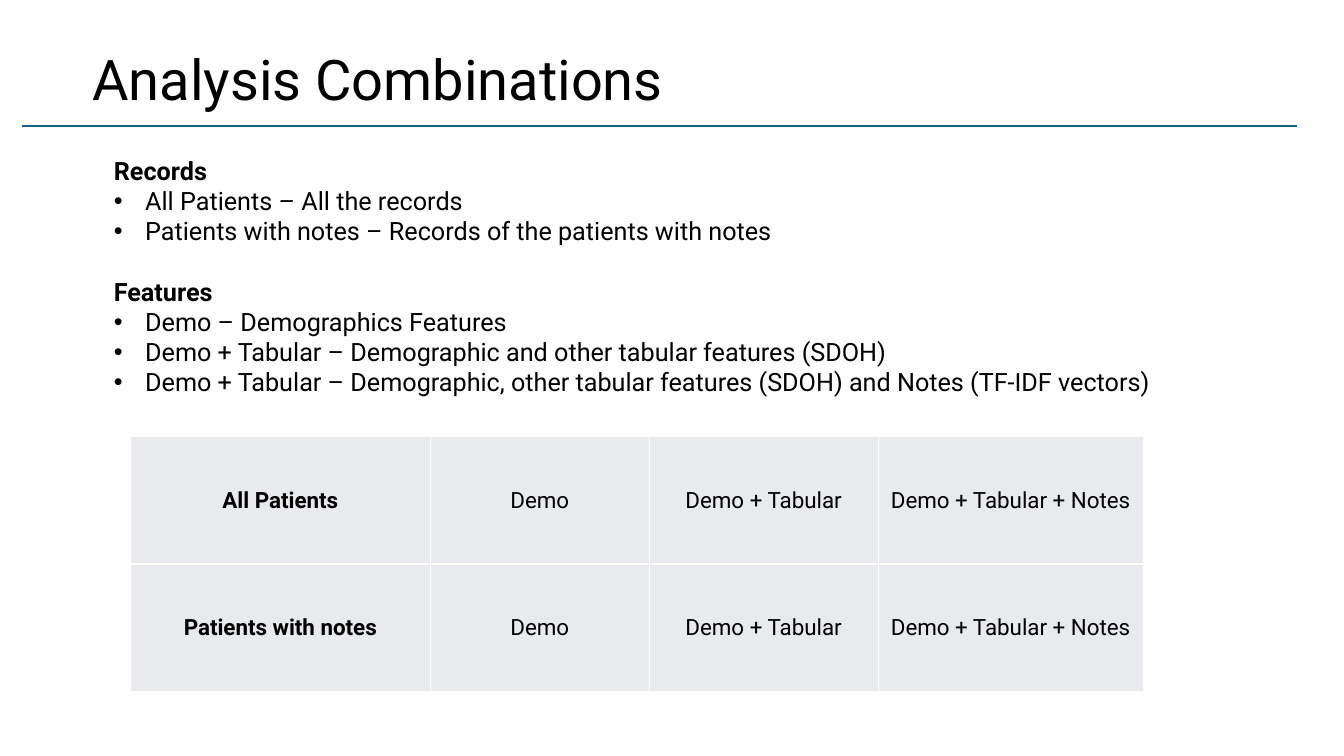
from lxml import etree
from pptx import Presentation
from pptx import util as u
from pptx.dml.color import RGBColor
from pptx.enum import shapes, text
from pptx.oxml.ns import qn

# Content
TITLE = "Analysis Combinations"
SECTIONS = [
    ("Records", [
        "All Patients – All the records",
        "Patients with notes – Records of the patients with notes",
    ]),
    ("Features", [
        "Demo – Demographics Features",
        "Demo + Tabular – Demographic and other tabular features (SDOH)",
        "Demo + Tabular – Demographic, other tabular features (SDOH) and Notes (TF-IDF vectors)",
    ]),
]
FEATURE_SETS = ["Demo", "Demo + Tabular", "Demo + Tabular + Notes"]
ROWS = [[group] + FEATURE_SETS for group in ("All Patients", "Patients with notes")]

# Layout in centimetres
COLUMN_WIDTHS = [7.57, 5.51, 5.77, 6.68]
ROW_HEIGHT = 3.21
BULLET_INDENT = 0.79
FONT = "Roboto"
BLACK, WHITE, BLUE, GREY = "000000", "FFFFFF", "156082", "E8EAED"


def color(value):
    return RGBColor.from_string(value)


def write(para, words, size, bold=False, align=None, before=0, spacing=None):
    span = para.add_run()
    span.text = words
    span.font.name = FONT
    span.font.size = u.Pt(size)
    span.font.bold = bold
    span.font.color.rgb = color(BLACK)
    para.alignment = align
    para.space_before = u.Pt(before)
    para.line_spacing = spacing


def add_box(page, left, top, width, height, anchor):
    box = page.shapes.add_textbox(u.Cm(left), u.Cm(top), u.Cm(width), u.Cm(height))
    box.text_frame.word_wrap = True
    box.text_frame.vertical_anchor = anchor
    return box.text_frame


def add_bullet(para):
    props = para._p.get_or_add_pPr()
    props.set("marL", str(u.Cm(BULLET_INDENT)))
    props.set("indent", str(-u.Cm(BULLET_INDENT)))
    etree.SubElement(props, qn("a:buFont")).set("typeface", "Arial")
    etree.SubElement(props, qn("a:buChar")).set("char", "•")


def add_borders(cell, value, width):
    props = cell._tc.get_or_add_tcPr()
    for place, side in enumerate(("lnL", "lnR", "lnT", "lnB")):
        edge = etree.Element(qn("a:" + side), w=str(u.Pt(width)))
        fill = etree.SubElement(edge, qn("a:solidFill"))
        etree.SubElement(fill, qn("a:srgbClr")).set("val", value)
        props.insert(place, edge)


def add_heading(page):
    frame = add_box(page, 2.08, 0.48, 25.78, 2.49, text.MSO_ANCHOR.BOTTOM)
    write(frame.paragraphs[0], TITLE, 40, spacing=0.9)
    rule = page.shapes.add_connector(
        shapes.MSO_CONNECTOR.STRAIGHT, u.Cm(0.56), u.Cm(3.18), u.Cm(32.69), u.Cm(3.18))
    rule.line.color.rgb = color(BLUE)
    rule.line.width = u.Pt(1.5)
    etree.SubElement(rule._element.spPr, qn("a:effectLst"))


def add_table(page):
    frame = page.shapes.add_table(
        len(ROWS), len(COLUMN_WIDTHS), u.Cm(3.28), u.Cm(11),
        u.Cm(sum(COLUMN_WIDTHS)), u.Cm(ROW_HEIGHT * len(ROWS)))
    table = frame.table
    table.first_row = table.horz_banding = False
    for column, width in zip(table.columns, COLUMN_WIDTHS):
        column.width = u.Cm(width)
    for r, row in enumerate(ROWS):
        table.rows[r].height = u.Cm(ROW_HEIGHT)
        for c, words in enumerate(row):
            cell = table.cell(r, c)
            cell.fill.solid()
            cell.fill.fore_color.rgb = color(GREY)
            cell.vertical_anchor = text.MSO_ANCHOR.MIDDLE
            cell.margin_left = cell.margin_right = cell.margin_top = u.Cm(0.02)
            cell.margin_bottom = 0
            write(cell.text_frame.paragraphs[0], words, 16, bold=c == 0,
                  align=text.PP_ALIGN.CENTER)
            add_borders(cell, WHITE, 1)


def add_sections(page):
    frame = add_box(page, 2.62, 3.78, 26.92, 7.19, text.MSO_ANCHOR.TOP)
    for number, (heading, items) in enumerate(SECTIONS):
        para = frame.add_paragraph() if number else frame.paragraphs[0]
        write(para, heading, 18, bold=True, before=21.7 if number else 0)
        for item in items:
            para = frame.add_paragraph()
            add_bullet(para)
            write(para, item, 18)


def main():
    deck = Presentation()
    deck.slide_width, deck.slide_height = u.Cm(33.87), u.Cm(19.05)
    page = deck.slides.add_slide(deck.slide_layouts[6])
    add_heading(page)
    add_table(page)
    add_sections(page)
    deck.save("out.pptx")


if __name__ == "__main__":
    main()
